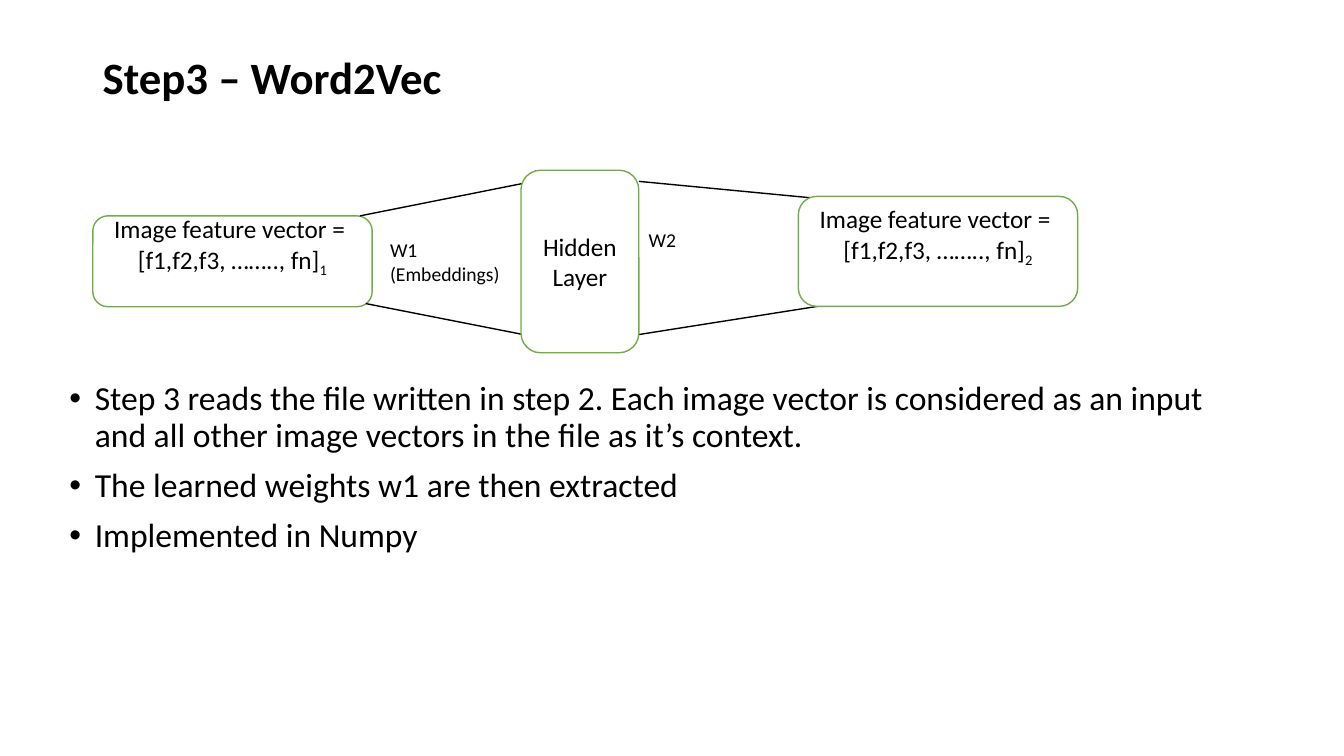
from dataclasses import dataclass

from lxml.etree import SubElement
from pptx import Presentation
from pptx.dml.color import RGBColor
from pptx.enum.shapes import MSO_CONNECTOR as CONN, MSO_SHAPE as SHAPE
from pptx.enum.text import MSO_ANCHOR as ANCHOR, PP_ALIGN as ALIGN
from pptx.oxml.ns import qn
from pptx.util import Cm, Pt

FONT = "Calibri"
COLORS = {"text": "000000", "fill": "FFFFFF", "border": "70AD47", "link": "000000"}


@dataclass
class Layer:
    x: float
    y: float
    w: float
    h: float
    lines: list[str]
    subscript: str = ""
    bottom: float = 0.13


@dataclass
class Link:
    x1: float
    y1: float
    x2: float
    y2: float


@dataclass
class Label:
    x: float
    y: float
    w: float
    h: float
    lines: list[str]
    size: int
    bold: bool = False
    anchor: ANCHOR = ANCHOR.TOP
    spacing: float = 1.0
    bullets: bool = False


VECTOR = ["Image feature vector = ", "[f1,f2,f3, …….., fn]"]
INPUT = Layer(2.34, 5.44, 7.04, 2.29, VECTOR, "1", 0.9)
HIDDEN = Layer(13.13, 4.29, 2.97, 4.6, ["Hidden Layer"])
OUTPUT = Layer(20.12, 4.95, 7.04, 2.77, VECTOR, "2", 0.9)

LINKS = [
    Link(9.07, 5.44, 13.44, 4.57),
    Link(9.22, 7.65, 13.44, 8.48),
    Link(16.1, 4.57, 20.6, 5.0),
    Link(16.1, 8.43, 20.6, 7.72),
]

LABELS = [
    Label(2.34, 1.02, 29.21, 2.01, ["Step3 – Word2Vec"], 32, True, ANCHOR.MIDDLE, 0.9),
    Label(9.58, 5.87, 3.48, 1.45, ["W1", "(Embeddings)"], 14),
    Label(16.1, 5.61, 3.48, 0.86, ["W2"], 14),
    Label(1.5, 9.5, 29.21, 7.87, [
        "Step 3 reads the file written in step 2. Each image vector is considered "
        "as an input and all other image vectors in the file as it’s context.",
        "The learned weights w1 are then extracted",
        "Implemented in Numpy",
    ], 24, spacing=0.9, bullets=True),
]


def rgb(name: str) -> RGBColor:
    return RGBColor.from_string(COLORS[name])


def add_run(p, text: str, size: int, bold: bool = False):
    r = p.add_run()
    r.text = text
    r.font.name = FONT
    r.font.size = Pt(size)
    r.font.bold = bold
    r.font.color.rgb = rgb("text")
    return r


def add_paragraphs(tf, lines: list[str], size: int, bold: bool = False) -> list:
    tf.word_wrap = True
    for i, line in enumerate(lines):
        p = tf.add_paragraph() if i else tf.paragraphs[0]
        add_run(p, line, size, bold)
    return list(tf.paragraphs)


def add_bullet(p) -> None:
    p.space_before = Pt(10)
    pPr = p._p.get_or_add_pPr()
    pPr.set("marL", str(Cm(0.64)))
    pPr.set("indent", str(-Cm(0.64)))
    SubElement(pPr, qn("a:buFont")).set("typeface", "Arial")
    SubElement(pPr, qn("a:buChar")).set("char", "•")


def draw_layer(s, layer: Layer) -> None:
    sp = s.shapes.add_shape(SHAPE.ROUNDED_RECTANGLE, Cm(layer.x), Cm(layer.y),
                            Cm(layer.w), Cm(layer.h))
    sp.shadow.inherit = False
    sp.fill.solid()
    sp.fill.fore_color.rgb = rgb("fill")
    sp.line.color.rgb = rgb("border")
    sp.line.width = Pt(1)
    tf = sp.text_frame
    tf.vertical_anchor = ANCHOR.MIDDLE
    tf.margin_bottom = Cm(layer.bottom)
    paragraphs = add_paragraphs(tf, layer.lines, 18)
    for p in paragraphs:
        p.alignment = ALIGN.CENTER
    if layer.subscript:
        r = add_run(paragraphs[-1], layer.subscript, 18)
        r.font._element.set("baseline", "-25000")


def draw_link(s, link: Link) -> None:
    line = s.shapes.add_connector(CONN.STRAIGHT, Cm(link.x1), Cm(link.y1),
                                  Cm(link.x2), Cm(link.y2))
    line.line.color.rgb = rgb("link")
    line.line.width = Pt(1)
    SubElement(line._element.spPr, qn("a:effectLst"))


def draw_label(s, label: Label) -> None:
    sp = s.shapes.add_textbox(Cm(label.x), Cm(label.y), Cm(label.w), Cm(label.h))
    tf = sp.text_frame
    tf.vertical_anchor = label.anchor
    for p in add_paragraphs(tf, label.lines, label.size, label.bold):
        p.line_spacing = label.spacing
        if label.bullets:
            add_bullet(p)


def main() -> None:
    prs = Presentation()
    prs.slide_width, prs.slide_height = Cm(33.87), Cm(19.05)
    s = prs.slides.add_slide(prs.slide_layouts[6])

    # Network: the links run under the hidden and output layers
    draw_layer(s, INPUT)
    for link in LINKS:
        draw_link(s, link)
    draw_layer(s, HIDDEN)
    draw_layer(s, OUTPUT)

    # Title, weight labels and bullet list
    for label in LABELS:
        draw_label(s, label)

    prs.save("out.pptx")


if __name__ == "__main__":
    main()
